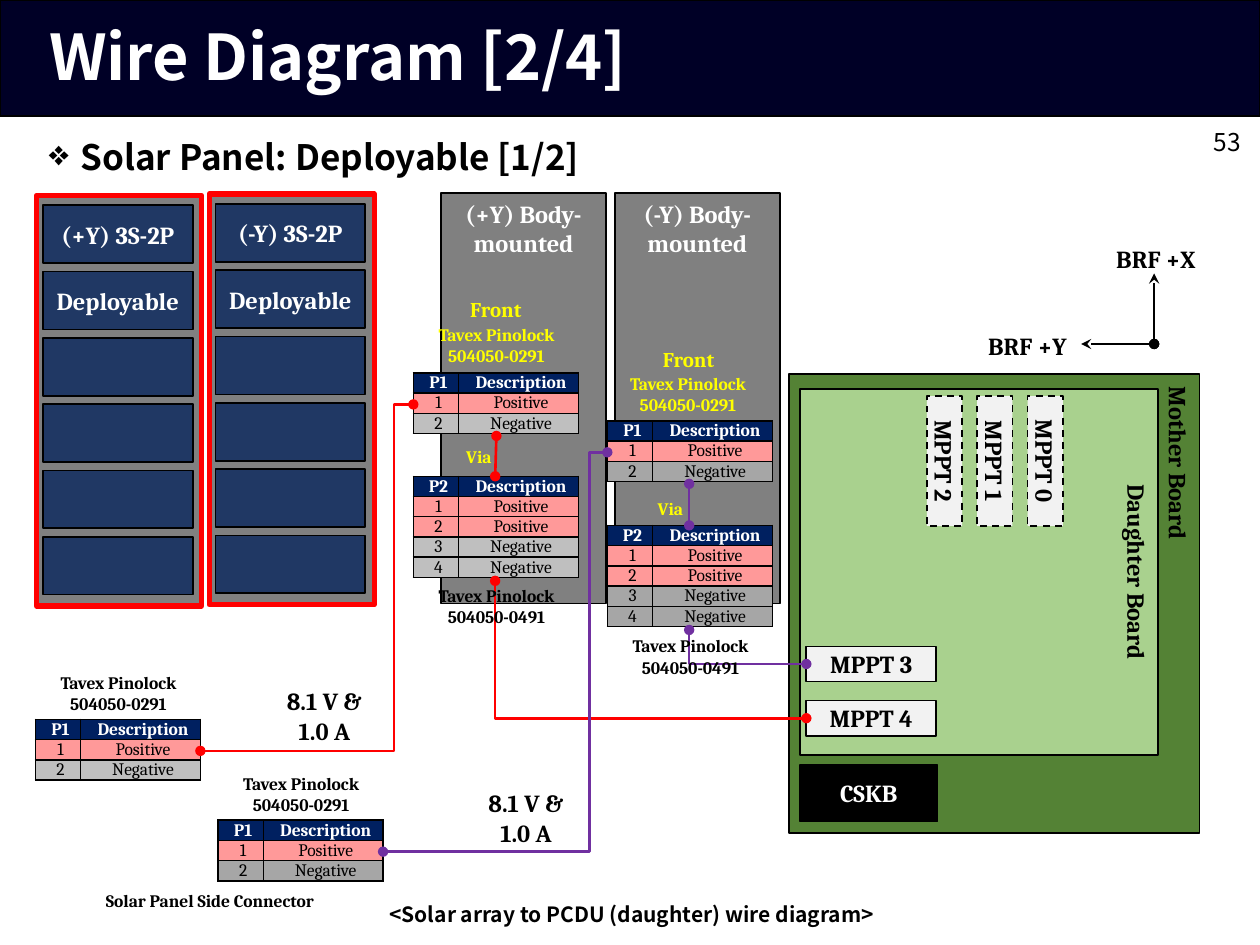
from lxml import etree
from pptx import Presentation
from pptx import util as u
from pptx.dml.color import RGBColor
from pptx.enum import dml, shapes, text
from pptx.oxml.ns import qn

SANS, SERIF = "Noto Sans CJK KR", "Cambria"
LEFT, CENTER, RIGHT = text.PP_ALIGN.LEFT, text.PP_ALIGN.CENTER, text.PP_ALIGN.RIGHT
TOP, MIDDLE = text.MSO_ANCHOR.TOP, text.MSO_ANCHOR.MIDDLE
BLACK, WHITE, YELLOW, RED, PURPLE = "000000", "FFFFFF", "FFFF00", "FF0000", "7030A0"
NAVY, GRAY, PALE = "203864", "808080", "F2F2F2"


def color(hex_code):
    return RGBColor.from_string(hex_code)


def write(frame, content, size=14, font=SERIF, fill=BLACK, bold=True, align=CENTER,
          anchor=MIDDLE, margin=0.1, bullet=None):
    """Fill a text frame, one paragraph per line of content."""
    frame.word_wrap = True
    frame.vertical_anchor = anchor
    frame.margin_left = frame.margin_right = u.Inches(margin)
    for index, line in enumerate(content.split("\n")):
        paragraph = frame.paragraphs[0] if index == 0 else frame.add_paragraph()
        paragraph.text = line
        paragraph.alignment = align
        if bullet:
            properties = paragraph._p.get_or_add_pPr()
            properties.set("marL", str(u.Inches(0.25)))
            properties.set("indent", str(-u.Inches(0.25)))
            etree.SubElement(properties, qn("a:buChar"), char=bullet)
        paragraph.font.size = u.Pt(size)
        paragraph.font.name = font
        paragraph.font.bold = bold
        paragraph.font.color.rgb = color(fill)


presentation = Presentation()
presentation.slide_width, presentation.slide_height = u.Inches(10), u.Inches(7.5)
slide = presentation.slides.add_slide(presentation.slide_layouts[5])

title = slide.shapes.title
title.left, title.top, title.width, title.height = map(u.Inches, (0.29, 0.03, 9.45, 0.89))
write(title.text_frame, "Wire Diagram [2/4]", size=36, font=SANS, fill=WHITE, align=LEFT)
title.text_frame.auto_size = text.MSO_AUTO_SIZE.NONE
title.text_frame.paragraphs[0].line_spacing = 0.9

# Boxes from back to front: place, fill, line colour, line width, rotation, text, text format
boxes = [((0, 0, 10, 0.92), "000026", BLACK, 1, 0, "", {})]
for left, top, name in ((1.66, 1.54, "(-Y) 3S-2P"), (0.29, 1.55, "(+Y) 3S-2P")):
    boxes.append(((left, top, 1.31, 3.26), GRAY, RED, 3, 0, "", {}))
    for row, label in enumerate([name, "Deployable", "", "", "", ""]):
        place = (left + 0.05, top + 0.08 + row * 0.526, 1.19, 0.46)
        boxes.append((place, NAVY, BLACK, 1, 0, label, {"fill": WHITE, "margin": 0}))
boxes += [
    ((6.07, 3.16, 3.64, 3.26), "548235", BLACK, 1, 90, "Mother Board",
     {"align": LEFT, "anchor": TOP}),
    ((6.32, 3.12, 2.9, 2.84), "A9D18E", BLACK, 1, 90, "Daughter Board", {"anchor": TOP}),
    ((6.4, 5.13, 1.03, 0.28), PALE, BLACK, 1, 0, "MPPT 3", {}),
    ((6.4, 5.56, 1.03, 0.28), PALE, BLACK, 1, 0, "MPPT 4", {}),
    ((6.35, 6.07, 1.09, 0.45), BLACK, BLACK, 1, 0, "CSKB", {"fill": WHITE}),
]
for number in range(3):
    boxes.append(((7.78 - 0.4 * number, 3.52, 1.03, 0.28), PALE, BLACK, 1, 90,
                  f"MPPT {number}", {}))
for left, side in ((3.5, "+Y"), (4.88, "-Y")):
    boxes.append(((left, 1.53, 1.31, 3.26), GRAY, BLACK, 1, 0, f"({side}) Body-mounted",
                  {"fill": WHITE, "anchor": TOP}))

for place, fill, line, width, rotation, label, style in boxes:
    box = slide.shapes.add_shape(shapes.MSO_SHAPE.RECTANGLE, *map(u.Inches, place))
    box.shadow.inherit = False
    box.rotation = rotation
    box.fill.solid()
    box.fill.fore_color.rgb = color(fill)
    box.line.color.rgb = color(line)
    box.line.width = u.Pt(width)
    if rotation and fill == PALE:
        box.line.dash_style = dml.MSO_LINE.DASH
    if label:
        write(box.text_frame, label, **style)
    if place[1] == 0:  # the header bar lies behind the title
        title._element.addprevious(box._element)

# Connector pin tables: the first half of the pins is positive
for left, top, name, pins, negative_fill in (
    (0.28, 5.71, "P1", 2, "BFBFBF"),
    (1.73, 6.51, "P1", 2, "A6A6A6"),
    (3.28, 3.78, "P2", 4, "BFBFBF"),
    (4.82, 4.17, "P2", 4, "A6A6A6"),
    (3.28, 2.96, "P1", 2, "BFBFBF"),
    (4.82, 3.34, "P1", 2, "A6A6A6"),
):
    rows = [(name, "Description", "002060")]
    for pin in range(1, pins + 1):
        positive = pin <= pins / 2
        rows.append((str(pin), "Positive" if positive else "Negative",
                     "FF9999" if positive else negative_fill))
    table = slide.shapes.add_table(len(rows), 2, u.Inches(left), u.Inches(top),
                                   u.Inches(1.31), u.Inches(0.15 * len(rows))).table
    table.columns[0].width, table.columns[1].width = u.Inches(0.36), u.Inches(0.95)
    for row, (*values, fill) in enumerate(rows):
        table.rows[row].height = u.Inches(0.15)
        for column, value in enumerate(values):
            cell = table.cell(row, column)
            write(cell.text_frame, value, size=10, bold=row == 0,
                  fill=BLACK if row else WHITE)
            cell.vertical_anchor = TOP
            cell.margin_left = u.Inches(0.04)
            cell.margin_right = cell.margin_top = cell.margin_bottom = 0
            properties = cell._tc.get_or_add_tcPr()
            for side in ("lnL", "lnR", "lnT", "lnB"):
                border = etree.SubElement(properties, qn(f"a:{side}"), w=str(u.Pt(1)))
                solid = etree.SubElement(border, qn("a:solidFill"))
                etree.SubElement(solid, qn("a:srgbClr"), val=BLACK)
            cell.fill.solid()
            cell.fill.fore_color.rgb = color(fill)

# Wires: start, end, colour, end mark, route (None straight, "corner", or the bend's share)
for (x1, y1), (x2, y2), hue, tail, route in (
    ((9.16, 2.73), (8.58, 2.73), BLACK, "stealth", None),
    ((9.16, 2.73), (9.16, 2.17), BLACK, "stealth", None),
    ((3.94, 3.46), (3.93, 3.78), RED, "oval", None),
    ((3.93, 4.61), (6.4, 5.7), RED, "oval", "corner"),
    ((1.59, 5.96), (3.28, 3.21), RED, "oval", 0.91),
    ((3.04, 6.76), (4.82, 3.59), PURPLE, "oval", 0.92),
    ((5.47, 3.84), (5.47, 4.17), PURPLE, "oval", None),
    ((5.47, 5), (6.4, 5.27), PURPLE, "oval", "corner"),
):
    if route == "corner":  # ends as they lie before the quarter turn about the centre
        middle_x, middle_y = (x1 + x2) / 2, (y1 + y2) / 2
        half_x, half_y = (x2 - x1) / 2, (y2 - y1) / 2
        x1, y1 = middle_x + half_y, middle_y - half_x
        x2, y2 = middle_x - half_y, middle_y + half_x
    kind = shapes.MSO_CONNECTOR.ELBOW if route else shapes.MSO_CONNECTOR.STRAIGHT
    wire = slide.shapes.add_connector(kind, *map(u.Inches, (x1, y1, x2, y2)))
    wire.line.color.rgb = color(hue)
    wire.line.width = u.Pt(1.5)
    properties = wire._element.spPr
    geometry = properties.find(qn("a:prstGeom"))
    if route == "corner":
        geometry.set("prst", "bentConnector2")
        properties.find(qn("a:xfrm")).set("rot", str(270 * 60000))
    elif route:
        etree.SubElement(geometry.find(qn("a:avLst")), qn("a:gd"), name="adj1",
                         fmla=f"val {round(route * 100000)}")
    outline = properties.find(qn("a:ln"))
    etree.SubElement(outline, qn("a:headEnd"), type="oval")
    etree.SubElement(outline, qn("a:tailEnd"), type=tail)
    etree.SubElement(properties, qn("a:effectLst"))

two_pin, four_pin = "Tavex Pinolock\n504050-0291", "Tavex Pinolock\n504050-0491"
small = {"size": 10, "margin": 0}
bright = {**small, "fill": YELLOW}
front = {**bright, "size": 12}
for place, content, style in (
    ((0.29, 1.03, 9.45, 0.5), "Solar Panel: Deployable [1/2]",
     {"size": 20, "font": SANS, "align": LEFT, "anchor": TOP, "bullet": "❖"}),
    ((8.32, 0.93, 1.68, 0.39), "53",
     {"font": SANS, "bold": False, "align": RIGHT, "margin": 0.15}),
    ((8.66, 1.79, 1.03, 0.53), "BRF +X", {}),
    ((7.64, 2.48, 1.03, 0.53), "BRF +Y", {}),
    ((0.28, 5.34, 1.32, 0.32), two_pin, small),
    ((1.73, 6.14, 1.32, 0.32), two_pin, small),
    ((0.28, 7.07, 2.77, 0.16), "Solar Panel Side Connector", small),
    ((2.04, 5.41, 1.07, 0.54), "8.1 V &\n1.0 A", {}),
    ((3.28, 2.29, 1.31, 0.32), "Front", front),
    ((3.28, 2.58, 1.32, 0.32), two_pin, bright),
    ((4.81, 2.69, 1.31, 0.32), "Front", front),
    ((4.8, 2.97, 1.32, 0.32), two_pin, bright),
    ((3.59, 3.53, 0.42, 0.19), "Via", bright),
    ((5.11, 3.94, 0.42, 0.19), "Via", bright),
    ((3.64, 6.25, 1.07, 0.48), "8.1 V &\n1.0 A", {}),
    ((0.29, 7.11, 9.45, 0.3), "<Solar array to PCDU (daughter) wire diagram>",
     {"size": 12, "font": SANS, "anchor": TOP}),
    ((3.28, 4.65, 1.32, 0.32), four_pin, small),
    ((4.82, 5.05, 1.32, 0.32), four_pin, small),
):
    label = slide.shapes.add_textbox(*map(u.Inches, place))
    write(label.text_frame, content, **style)

presentation.save("out.pptx")
